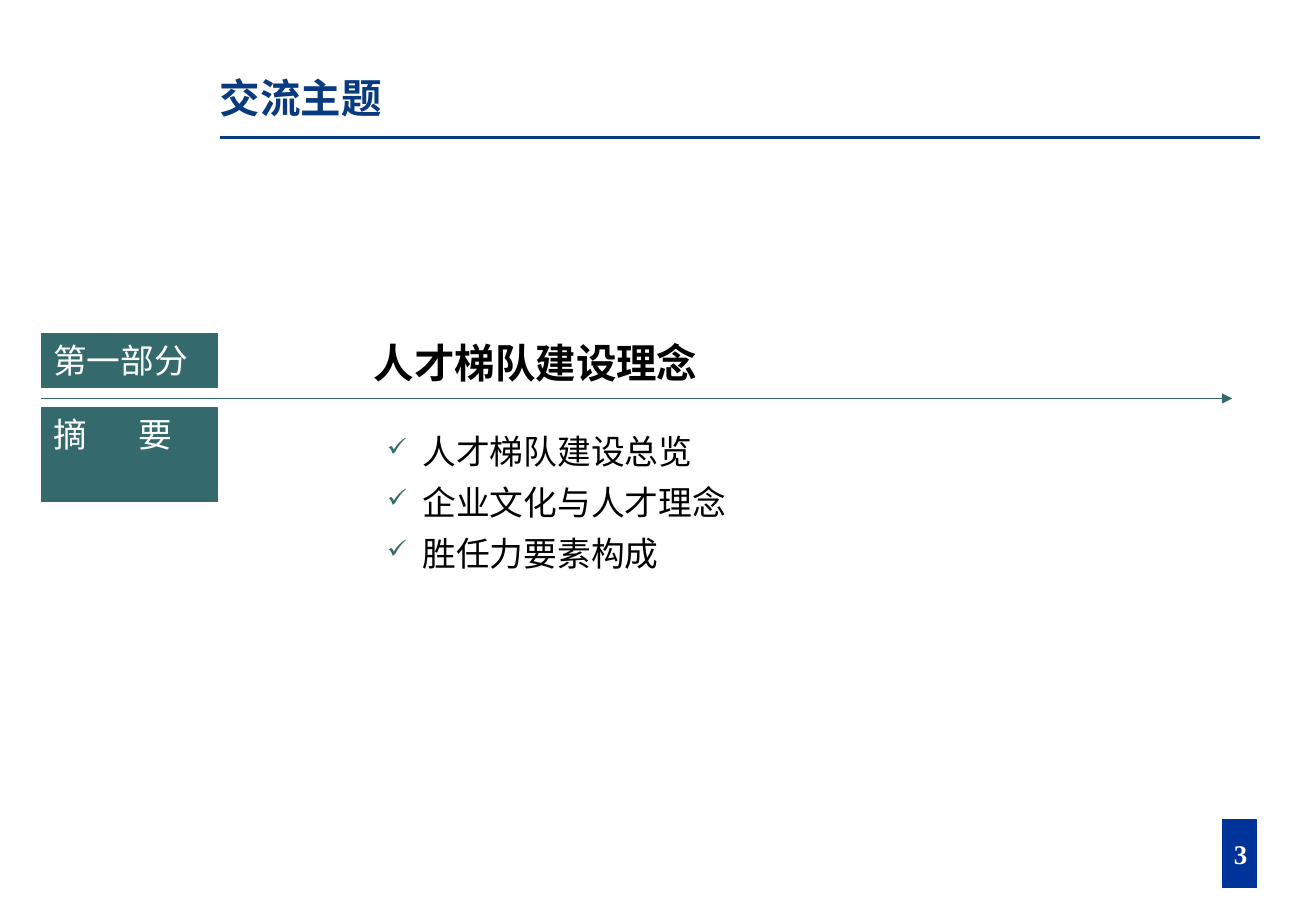
import pptx
import pptx.dml.color
import pptx.enum.shapes
import pptx.enum.text
import pptx.oxml
import pptx.oxml.ns
import pptx.util
from pptx.util import Inches

NAVY, BLUE, TEAL = "093A80", "003399", "346A6C"
WHITE, BLACK = "FFFFFF", "000000"
CJK = "Noto Sans CJK SC"
ANCHOR = pptx.enum.text.MSO_ANCHOR
ALIGN = pptx.enum.text.PP_ALIGN
TOPICS = ["人才梯队建设总览", "企业文化与人才理念", "胜任力要素构成"]


def rgb(value):
    return pptx.dml.color.RGBColor.from_string(value)


def add_xml(parent, tag, content="", **attrs):
    el = pptx.oxml.parse_xml(
        f'<a:{tag} {pptx.oxml.ns.nsdecls("a")}>{content}</a:{tag}>')
    for name, value in attrs.items():
        el.set(name, str(value))
    parent.append(el)


def add_run(p, text, size, color, font=CJK, bold=False):
    r = p.add_run()
    r.text = text
    r.font.size = pptx.util.Pt(size)
    r.font.bold = bold
    r.font.name = font
    r.font.color.rgb = rgb(color)
    add_xml(r.font._element, "ea", typeface=CJK)


def add_text(slide, left, top, width, height):
    sp = slide.shapes.add_textbox(
        Inches(left), Inches(top), Inches(width), Inches(height))
    sp.text_frame.word_wrap = True
    return sp.text_frame


def add_block(slide, left, top, width, height, color):
    sp = slide.shapes.add_shape(
        pptx.enum.shapes.MSO_SHAPE.RECTANGLE,
        Inches(left), Inches(top), Inches(width), Inches(height))
    sp.shadow.inherit = False
    sp.fill.solid()
    sp.fill.fore_color.rgb = rgb(color)
    sp.line.color.rgb = rgb(color)
    sp.line.width = pptx.util.Pt(0.75)
    return sp.text_frame


def add_label(slide, top, height, text):
    """Teal block on the left; a tab in the text jumps to a fixed stop."""
    tf = add_block(slide, 0.34, top, 1.45, height, TEAL)
    tf.word_wrap = True
    tf.vertical_anchor = ANCHOR.TOP
    p = tf.paragraphs[0]
    p.alignment = ALIGN.LEFT
    add_xml(p._p.get_or_add_pPr(), "tabLst",
            f'<a:tab pos="{Inches(0.7)}" algn="l"/>')
    add_run(p, text, 20, WHITE, "Arial")


def add_rule(slide, left, right, y, color, width, arrow=False):
    line = slide.shapes.add_connector(
        pptx.enum.shapes.MSO_CONNECTOR.STRAIGHT,
        Inches(left), Inches(y), Inches(right), Inches(y))
    line.line.color.rgb = rgb(color)
    line.line.width = pptx.util.Pt(width)
    if arrow:
        add_xml(line.line._get_or_add_ln(), "tailEnd", type="triangle")
    add_xml(line._element.spPr, "effectLst")


def add_checklist(slide, items):
    tf = add_text(slide, 2.69, 3.5, 7.42, 1.7)
    for i, item in enumerate(items):
        p = tf.add_paragraph() if i else tf.paragraphs[0]
        if i:
            p.space_before = pptx.util.Pt(6.2)
        pPr = p._p.get_or_add_pPr()
        pPr.set("marL", str(Inches(0.69)))
        pPr.set("indent", str(Inches(-0.29)))
        add_xml(pPr, "buClr", f'<a:srgbClr val="{TEAL}"/>')
        add_xml(pPr, "buSzPct", val=75000)
        add_xml(pPr, "buChar", char="✓")
        add_run(p, item, 20, BLACK)


def add_title(slide, text):
    tf = add_text(slide, 1.81, 0.25, 8.57, 0.75)
    tf.margin_left = tf.margin_right = tf.margin_top = tf.margin_bottom = 0
    tf.vertical_anchor = ANCHOR.BOTTOM
    p = tf.paragraphs[0]
    p.line_spacing = 0.8
    add_run(p, text, 24, NAVY, bold=True)


def add_page_number(slide, number):
    add_block(slide, 10.07, 6.75, 0.28, 0.56, BLUE)
    p = add_text(slide, 9.62, 6.85, 1.2, 0.37).paragraphs[0]
    p.alignment = ALIGN.CENTER
    add_run(p, number, 16, WHITE, "Times New Roman", True)


def main():
    prs = pptx.Presentation()
    prs.slide_width, prs.slide_height = Inches(10.84), Inches(7.5)
    slide = prs.slides.add_slide(prs.slide_layouts[6])

    add_rule(slide, 1.81, 10.38, 1.13, NAVY, 2)
    add_page_number(slide, "3")
    add_title(slide, "交流主题")

    add_label(slide, 2.75, 0.44, "第一部分")
    heading = add_text(slide, 2.98, 2.73, 6.82, 1.11)
    add_run(heading.paragraphs[0], "人才梯队建设理念", 24, BLACK,
            "Times New Roman", True)
    add_rule(slide, 0.34, 10.15, 3.28, TEAL, 1, arrow=True)
    add_checklist(slide, TOPICS)
    add_label(slide, 3.36, 0.77, "摘\t要")

    prs.save("out.pptx")


if __name__ == "__main__":
    main()
